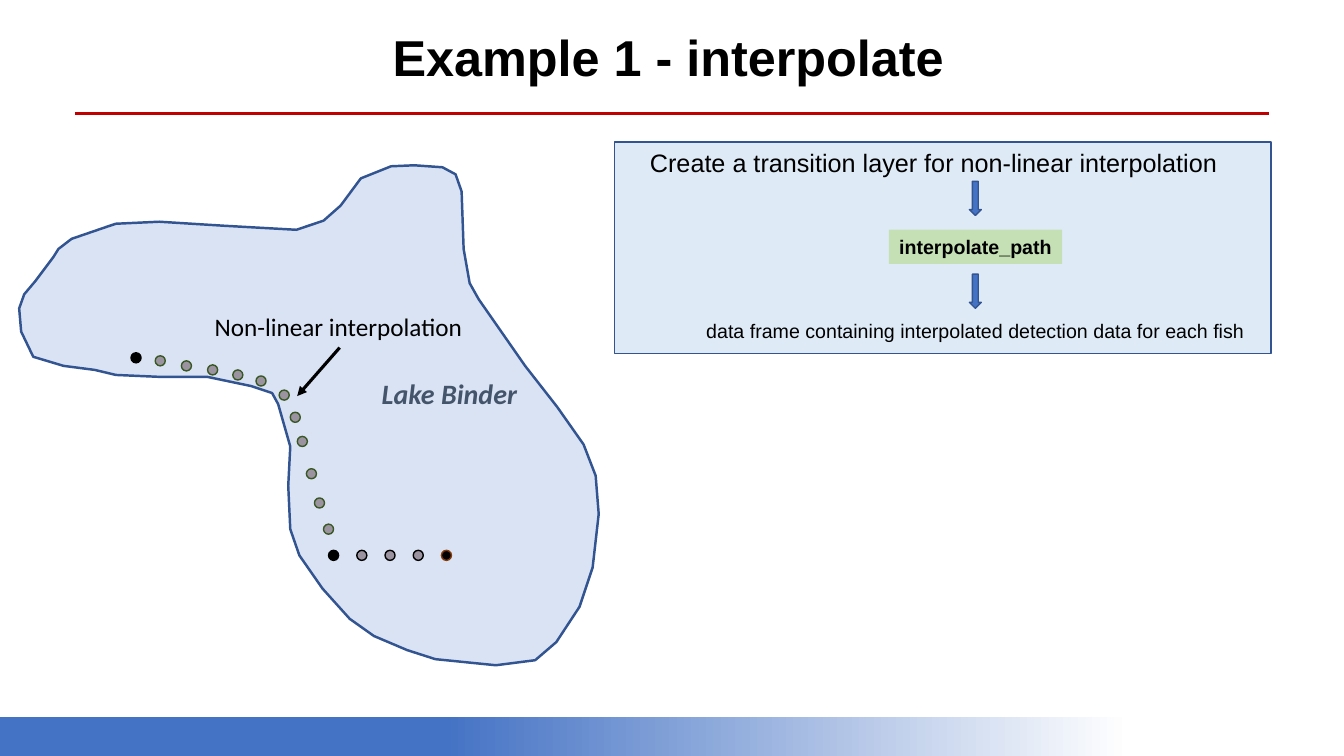
from dataclasses import dataclass

from lxml import etree
from pptx import Presentation
from pptx.dml.color import RGBColor
from pptx.enum.shapes import MSO_CONNECTOR, MSO_SHAPE
from pptx.enum.text import MSO_AUTO_SIZE, PP_ALIGN
from pptx.oxml.ns import qn
from pptx.util import Cm, Pt

RECTANGLE = MSO_SHAPE.RECTANGLE
OVAL = MSO_SHAPE.OVAL
DOWN_ARROW = MSO_SHAPE.DOWN_ARROW
STRAIGHT = MSO_CONNECTOR.STRAIGHT
LEFT, CENTER = PP_ALIGN.LEFT, PP_ALIGN.CENTER
GROW = MSO_AUTO_SIZE.SHAPE_TO_FIT_TEXT

# The lake map is drawn on a grid of 100 units per 2.54 cm
MAP_UNIT = Cm(2.54) // 100
DOT_SIZE = 10


@dataclass(frozen=True)
class Theme:
    black: str = "000000"
    white: str = "FFFFFF"
    blue: str = "4472C4"
    outline: str = "325491"
    red: str = "C00000"
    panel: str = "DEEBF7"
    code: str = "C5E0B4"
    water: str = "DAE3F3"
    lake_name: str = "44546A"
    grey: str = "9B93A0"
    green: str = "385723"
    brown: str = "843C0B"
    heading_font: str = "Arial"
    map_font: str = "Calibri"
    title_size: int = 36
    lake_size: int = 20
    label_size: int = 18
    small_size: int = 14


THEME = Theme()


@dataclass(frozen=True)
class DotSeries:
    fill: str
    line: str
    centres: tuple


# The last leg runs straight east in equal steps
LEG = tuple((331 + 28 * step, 551) for step in range(5))
DOTS = (
    DotSeries(THEME.black, THEME.black, ((135, 355), LEG[0])),
    DotSeries(THEME.grey, THEME.black, LEG[1:4]),
    DotSeries(THEME.black, THEME.brown, LEG[4:]),
    DotSeries(THEME.grey, THEME.green, (
        (159, 358), (185, 363), (211, 367), (236, 372), (259, 378), (282, 392),
        (293, 414), (300, 438), (309, 470), (317, 499), (326, 525))),
)

SHORELINE = (
    # West bay
    (106, 225), (71, 237), (58, 247), (53, 255), (35, 279), (24, 292), (19, 306),
    (21, 329), (33, 354), (63, 363), (94, 367), (115, 372), (160, 374), (206, 374),
    (249, 383), (270, 390), (276, 401),
    # South basin
    (288, 443), (286, 482), (288, 525), (297, 551), (320, 584), (347, 614),
    (371, 631), (404, 645), (432, 654), (492, 660), (531, 655), (552, 637),
    (575, 602), (588, 563), (594, 510), (591, 472), (579, 441), (553, 404),
    # North bay
    (521, 363), (475, 297), (466, 281), (460, 247), (458, 190), (452, 173),
    (439, 166), (411, 164), (388, 165), (358, 177), (338, 204), (321, 219),
    (294, 228), (222, 224), (158, 220), (115, 222),
)


def color(value: str) -> RGBColor:
    return RGBColor.from_string(value)


def style(shape, fill: str, line: str | None = None, width: float = 1) -> None:
    shape.shadow.inherit = False
    shape.fill.solid()
    shape.fill.fore_color.rgb = color(fill)
    if line is None:
        shape.line.fill.background()
    else:
        shape.line.color.rgb = color(line)
        shape.line.width = Pt(width)


def add_text(slide, text: str, left: float, top: float, width: float, height: float,
             *, size: int, font: str = THEME.heading_font, ink: str = THEME.black,
             bold: bool = False, italic: bool = False, align=LEFT, wrap: bool = True):
    box = slide.shapes.add_textbox(Cm(left), Cm(top), Cm(width), Cm(height))
    frame = box.text_frame
    frame.word_wrap = wrap
    frame.auto_size = GROW
    paragraph = frame.paragraphs[0]
    paragraph.text = text
    paragraph.alignment = align
    paragraph.font.name = font
    paragraph.font.size = Pt(size)
    paragraph.font.bold = bold
    paragraph.font.italic = italic
    paragraph.font.color.rgb = color(ink)
    return box


def add_shape(slide, kind, left: float, top: float, width: float, height: float,
              fill: str, line: str | None = None):
    shape = slide.shapes.add_shape(kind, Cm(left), Cm(top), Cm(width), Cm(height))
    style(shape, fill, line)
    return shape


def add_line(slide, start: tuple, end: tuple, ink: str, arrow: bool = False) -> None:
    connector = slide.shapes.add_connector(
        STRAIGHT, Cm(start[0]), Cm(start[1]), Cm(end[0]), Cm(end[1]))
    connector.line.color.rgb = color(ink)
    connector.line.width = Pt(2.25)
    properties = connector._element.spPr
    if arrow:
        etree.SubElement(properties.find(qn("a:ln")), qn("a:tailEnd"), type="triangle")
    etree.SubElement(properties, qn("a:effectLst"))


def add_frame(slide) -> None:
    # Title, rule and fading footer band
    add_text(slide, "Example 1 - interpolate", 4.88, 0.53, 23.93, 1.8,
             size=THEME.title_size, bold=True, align=CENTER)
    band = add_shape(slide, RECTANGLE, 0, 18.07, 33.87, 0.97, THEME.blue)
    band.fill.gradient()
    band.fill.gradient_angle = 0
    stops = ((0.33, THEME.blue), (0.84, THEME.white))
    for stop, (position, shade) in zip(band.fill.gradient_stops, stops):
        stop.position = position
        stop.color.rgb = color(shade)
    add_line(slide, (1.9, 2.87), (31.98, 2.87), THEME.red)


def add_workflow(slide) -> None:
    # Steps from transition layer to data frame
    add_shape(slide, RECTANGLE, 15.49, 3.58, 16.54, 5.33, THEME.panel, THEME.outline)
    function = add_text(slide, "interpolate_path", 22.4, 5.79, 4.37, 0.86,
                        size=THEME.small_size, bold=True, align=CENTER)
    style(function, THEME.code)
    add_text(slide, "data frame containing interpolated detection data for each fish",
             15.24, 7.92, 18.69, 0.86, size=THEME.small_size, align=CENTER)
    for top in (4.57, 6.91):
        add_shape(slide, DOWN_ARROW, 24.43, top, 0.3, 0.86, THEME.blue, THEME.outline)
    add_text(slide, "Create a transition layer for non-linear interpolation",
             16.13, 3.58, 16.94, 1.02, size=THEME.label_size)


def add_lake(slide) -> None:
    # Lake, fish positions and labels
    builder = slide.shapes.build_freeform(*SHORELINE[0], scale=MAP_UNIT)
    builder.add_line_segments(SHORELINE[1:], close=True)
    style(builder.convert_to_shape(), THEME.water, THEME.outline, 1.75)
    for series in DOTS:
        for x, y in series.centres:
            corner = [(value - DOT_SIZE // 2) * MAP_UNIT for value in (x, y)]
            dot = slide.shapes.add_shape(
                OVAL, *corner, DOT_SIZE * MAP_UNIT, DOT_SIZE * MAP_UNIT)
            style(dot, series.fill, series.line)
    add_text(slide, "Non-linear interpolation", 5.16, 7.72, 6.83, 1.02,
             size=THEME.label_size, font=THEME.map_font, wrap=False)
    add_line(slide, (8.56, 8.76), (7.49, 9.98), THEME.black, arrow=True)
    add_text(slide, "Lake Binder", 9.37, 9.37, 3.96, 1.12, size=THEME.lake_size,
             font=THEME.map_font, ink=THEME.lake_name, bold=True, italic=True, wrap=False)


def main() -> None:
    presentation = Presentation()
    presentation.slide_width, presentation.slide_height = Cm(33.87), Cm(19.05)
    slide = presentation.slides.add_slide(presentation.slide_layouts[6])
    add_frame(slide)
    add_workflow(slide)
    add_lake(slide)
    presentation.save("out.pptx")


if __name__ == "__main__":
    main()
